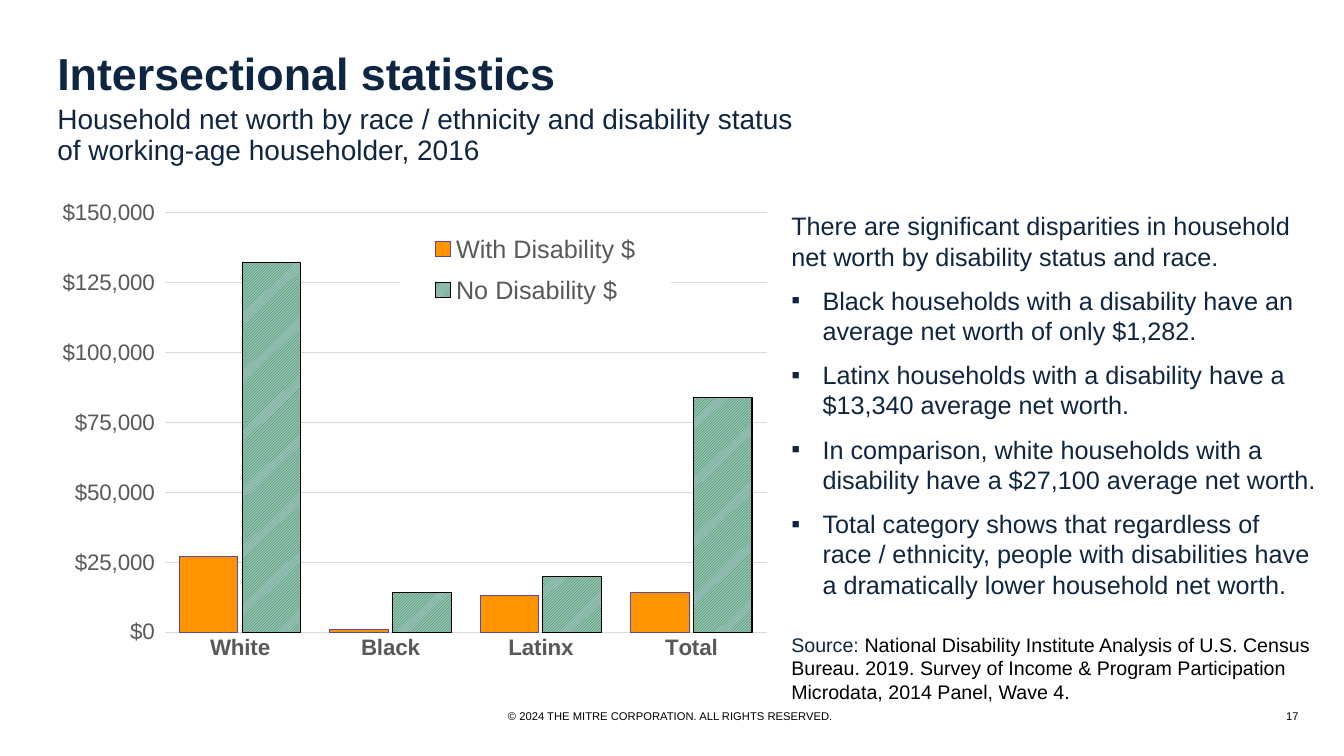
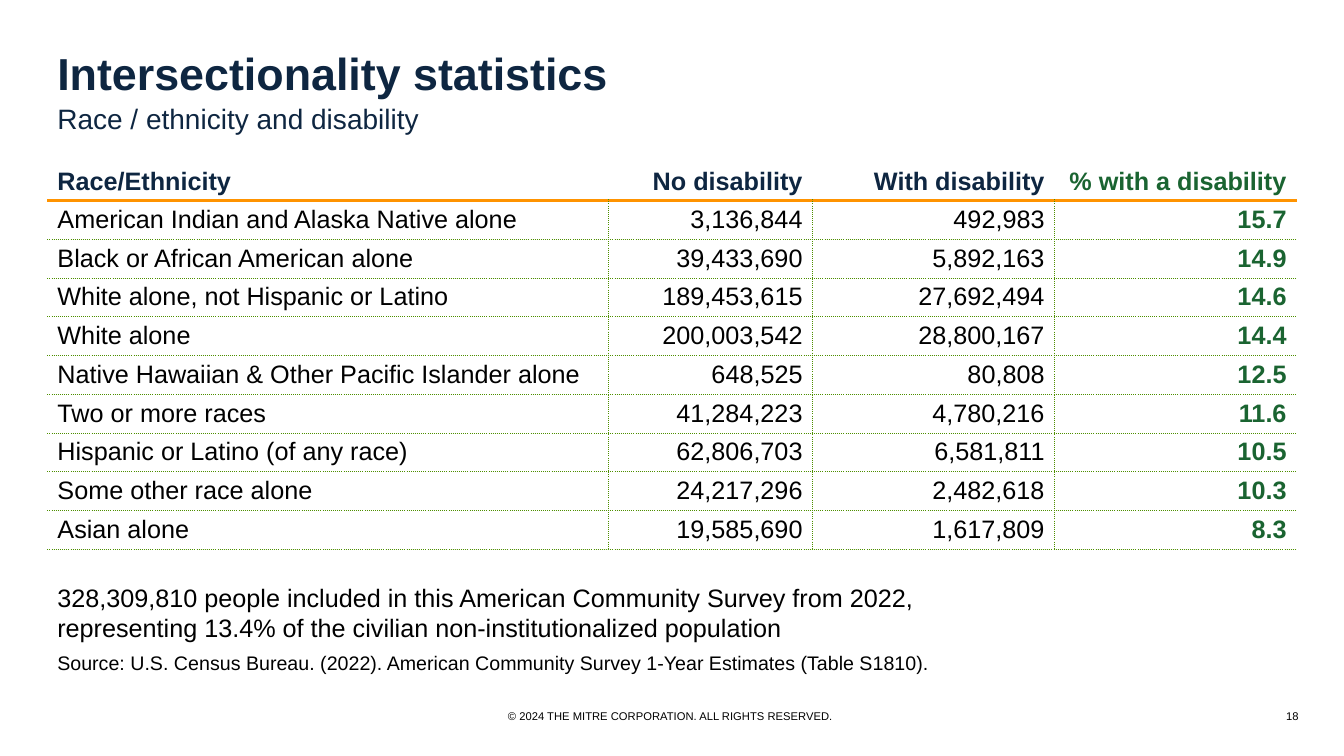
from lxml.etree import SubElement
from pptx import Presentation
from pptx.chart.data import CategoryChartData
from pptx.dml.color import RGBColor
from pptx.enum.chart import XL_CHART_TYPE, XL_LEGEND_POSITION, XL_TICK_MARK
from pptx.enum.dml import MSO_PATTERN
from pptx.enum.text import MSO_ANCHOR, PP_ALIGN
from pptx.oxml import parse_xml
from pptx.oxml.ns import nsdecls, qn
from pptx.util import Inches, Pt

FONT = "Arial"
NAVY = "0E2641"
BLACK = "000000"
WHITE = "FFFFFF"
GRAY = "595959"
GRID = "D9D9D9"
ORANGE = "FF9300"
GREEN = "1A6431"
DOTTED = "4E8F00"
DOLLARS = '"$"#,##0_);[Red]\\("$"#,##0\\)'


def color(value):
    return RGBColor.from_string(value)


def add_text(slide, box, text, size, text_color, bold=False, align=PP_ALIGN.LEFT, spacing=None):
    shape = slide.shapes.add_textbox(*[Inches(length) for length in box])
    text_frame = shape.text_frame
    text_frame.word_wrap = True
    text_frame.text = text
    for paragraph in text_frame.paragraphs:
        paragraph.alignment = align
        paragraph.line_spacing = spacing
        for run in paragraph.runs:
            run.font.name = FONT
            run.font.size = Pt(size)
            run.font.bold = bold
            run.font.color.rgb = color(text_color)
    return text_frame


presentation = Presentation()
presentation.slide_width = Inches(13.33)
presentation.slide_height = Inches(7.5)

headings = [
    (17, "Intersectional statistics",
     "Household net worth by race / ethnicity and disability status\v"
     "of working-age householder, 2016"),
    (18, "Intersectionality statistics", "Race / ethnicity and disability"),
]
slides = []
for number, title, subtitle in headings:
    slide = presentation.slides.add_slide(presentation.slide_layouts[6])
    add_text(slide, (0.47, 0.4, 12.4, 0.6), title, 32, NAVY, bold=True)
    add_text(slide, (0.47, 1, 12.4, 0.6), subtitle, 20, NAVY, spacing=0.9)
    footers = [
        ((1.83, 7, 9.64, 0.2), "© 2024 THE MITRE CORPORATION. ALL RIGHTS RESERVED.", PP_ALIGN.CENTER),
        ((12.2, 7, 0.68, 0.2), str(number), PP_ALIGN.RIGHT),
    ]
    for box, text, align in footers:
        footer = add_text(slide, box, text, 8, BLACK, align=align)
        footer.vertical_anchor = MSO_ANCHOR.MIDDLE
        footer.margin_left = footer.margin_right = footer.margin_top = footer.margin_bottom = 0
    slides.append(slide)
chart_slide, table_slide = slides

chart_data = CategoryChartData(number_format=DOLLARS)
chart_data.categories = ["White", "Black", "Latinx", "Total"]
chart_data.add_series("With Disability $", [27000, 1000, 13000, 14000])
chart_data.add_series("No Disability $", [132000, 14000, 20000, 84000])
chart = chart_slide.shapes.add_chart(
    XL_CHART_TYPE.COLUMN_CLUSTERED, Inches(0.47), Inches(1.92), Inches(7.28), Inches(4.73), chart_data
).chart
chart.has_title = False
chart.font.name = FONT
chart.font.size = Pt(14)
chart.font.color.rgb = color(BLACK)

plot = chart.plots[0]
plot.gap_width = 50
plot.overlap = -7
plot.vary_by_categories = False
with_disability, no_disability = plot.series
with_disability.format.fill.solid()
with_disability.format.fill.fore_color.rgb = color(ORANGE)
no_disability.format.fill.patterned()
no_disability.format.fill.pattern = MSO_PATTERN.DARK_UPWARD_DIAGONAL
no_disability.format.fill.fore_color.rgb = color("008F00")
no_disability.format.fill.back_color.rgb = color("9DBFC2")
for series, outline in ((with_disability, "5D499E"), (no_disability, BLACK)):
    series.format.line.color.rgb = color(outline)
    series.format.line.width = Pt(0.75)

category_axis = chart.category_axis
value_axis = chart.value_axis
value_axis.minimum_scale = 0
value_axis.maximum_scale = 150000
value_axis.major_unit = 25000
value_axis.tick_labels.number_format = DOLLARS
value_axis.tick_labels.number_format_is_linked = False
value_axis.format.line.fill.background()
for line in (category_axis.format.line, value_axis.major_gridlines.format.line):
    line.color.rgb = color(GRID)
    line.width = Pt(0.75)

chart.has_legend = True
legend = chart.legend
legend.position = XL_LEGEND_POSITION.CORNER
legend.include_in_layout = True
for axis in (category_axis, value_axis):
    axis.major_tick_mark = axis.minor_tick_mark = XL_TICK_MARK.NONE
label_fonts = [
    (category_axis.tick_labels.font, 16, True),
    (value_axis.tick_labels.font, 16, False),
    (legend.font, 18, False),
]
for font, size, bold in label_fonts:
    font.name = FONT
    font.size = Pt(size)
    font.bold = bold
    font.color.rgb = color(GRAY)

legend_element = legend._element
plot_area = chart._chartSpace.chart.plotArea
layouts = [
    (plot_area, 0, "inner", (0.16, 0.044, 0.82, 0.876)),
    (legend_element, 1, None, (0.48, 0.06, 0.37, 0.2)),
]
for parent, index, target, fractions in layouts:
    for existing in parent.findall(qn("c:layout")):
        parent.remove(existing)
    layout = parse_xml(f"<c:layout {nsdecls('c')}><c:manualLayout/></c:layout>")
    settings = [("layoutTarget", target)] if target else []
    settings += [("xMode", "edge"), ("yMode", "edge")]
    settings += zip("xywh", [round(fraction, 2) for fraction in fractions])
    for name, value in settings:
        SubElement(layout[0], qn(f"c:{name}")).set("val", str(value))
    parent.insert(index, layout)
legend_element.find(qn("c:overlay")).addnext(parse_xml(
    f"<c:spPr {nsdecls('c', 'a')}><a:solidFill><a:srgbClr val='{WHITE}'/></a:solidFill></c:spPr>"
))

findings = [
    "There are significant disparities in household net worth by disability status and race.",
    "Black households with a disability have an average net worth of only $1,282.",
    "Latinx households with a disability have a $13,340 average net worth.",
    "In comparison, white households with a disability have a $27,100 average net worth.",
    "Total category shows that regardless of race / ethnicity, people with disabilities have "
    "a dramatically lower household net worth.",
    "Source: ",
]
findings_frame = add_text(chart_slide, (7.75, 2.04, 5.5, 4.9), "\n".join(findings), 18, NAVY)
introduction, *bullets, source = findings_frame.paragraphs
for paragraph in bullets:
    properties = paragraph._p.get_or_add_pPr()
    properties.set("marL", str(Inches(0.31)))
    properties.set("indent", str(-Inches(0.31)))
    SubElement(properties, qn("a:buFont")).set("typeface", FONT)
    SubElement(properties, qn("a:buChar")).set("char", "▪")
    paragraph.space_before = Pt(10)
source.space_before = Pt(24)
citation = source.add_run()
citation.text = (
    "National Disability Institute Analysis of U.S. Census Bureau. 2019. Survey of Income "
    "& Program Participation Microdata, 2014 Panel, Wave 4."
)
for run, text_color in zip(source.runs, (NAVY, BLACK)):
    run.font.name = FONT
    run.font.size = Pt(14)
    run.font.color.rgb = color(text_color)

rows = [
    ("Race/Ethnicity", "No disability", "With disability", "% with a disability"),
    ("American Indian and Alaska Native alone", "3,136,844", "492,983", "15.7"),
    ("Black or African American alone", "39,433,690", "5,892,163", "14.9"),
    ("White alone, not Hispanic or Latino", "189,453,615", "27,692,494", "14.6"),
    ("White alone", "200,003,542", "28,800,167", "14.4"),
    ("Native Hawaiian & Other Pacific Islander alone", "648,525", "80,808", "12.5"),
    ("Two or more races", "41,284,223", "4,780,216", "11.6"),
    ("Hispanic or Latino (of any race)", "62,806,703", "6,581,811", "10.5"),
    ("Some other race alone", "24,217,296", "2,482,618", "10.3"),
    ("Asian alone", "19,585,690", "1,617,809", "8.3"),
]
column_widths = [5.56, 2.03, 2.4, 2.4]
header_height, table_height = 0.41, 3.87
body_height = (table_height - header_height) / (len(rows) - 1)
last_column = len(column_widths) - 1
table = table_slide.shapes.add_table(
    len(rows), len(column_widths), Inches(0.47), Inches(1.58), Inches(sum(column_widths)), Inches(table_height)
).table
table.first_row = False
table.horz_banding = False
for column, width in zip(table.columns, column_widths):
    column.width = Inches(width)

dotted_line = (DOTTED, 0.5, "sysDot")
orange_line = (ORANGE, 2.25, "solid")
for row_index, values in enumerate(rows):
    is_header = row_index == 0
    table.rows[row_index].height = Inches(header_height if is_header else body_height)
    for column_index, value in enumerate(values):
        cell = table.cell(row_index, column_index)
        cell.text = value
        cell.vertical_anchor = MSO_ANCHOR.BOTTOM if is_header else MSO_ANCHOR.TOP
        cell.margin_top = Inches(0.05)
        cell.margin_bottom = Inches(0.05 if is_header else 0.02)
        paragraph = cell.text_frame.paragraphs[0]
        paragraph.alignment = PP_ALIGN.RIGHT if column_index else PP_ALIGN.LEFT
        is_percentage = column_index == last_column
        font = paragraph.runs[0].font
        font.name = FONT
        font.size = Pt(18)
        font.bold = is_header or is_percentage
        font.color.rgb = color(GREEN if is_percentage else NAVY if is_header else BLACK)
        inner_line = None if is_header else dotted_line
        borders = {
            "lnL": inner_line if column_index else None,
            "lnR": None if is_percentage else inner_line,
            "lnT": None if is_header else orange_line if row_index == 1 else dotted_line,
            "lnB": orange_line if is_header else dotted_line,
        }
        cell_properties = cell._tc.get_or_add_tcPr()
        for tag, border in borders.items():
            line = SubElement(cell_properties, qn(f"a:{tag}"))
            if border is None:
                SubElement(line, qn("a:noFill"))
                continue
            line_color, width, dash = border
            line.set("w", str(Pt(width)))
            fill = SubElement(line, qn("a:solidFill"))
            SubElement(fill, qn("a:srgbClr")).set("val", line_color)
            SubElement(line, qn("a:prstDash")).set("val", dash)
        if is_header:
            cell.fill.background()
        else:
            cell.fill.solid()
            cell.fill.fore_color.rgb = color(WHITE)

survey_note = add_text(
    table_slide, (0.47, 5.73, 12.53, 1.2),
    "328,309,810 people included in this American Community Survey from 2022,\v"
    "representing 13.4% of the civilian non-institutionalized population\n"
    "Source: U.S. Census Bureau. (2022). American Community Survey 1-Year Estimates (Table S1810).",
    18, BLACK,
)
summary, source = survey_note.paragraphs
summary.space_after = Pt(6)
source.runs[0].font.size = Pt(14)

presentation.save("out.pptx")
